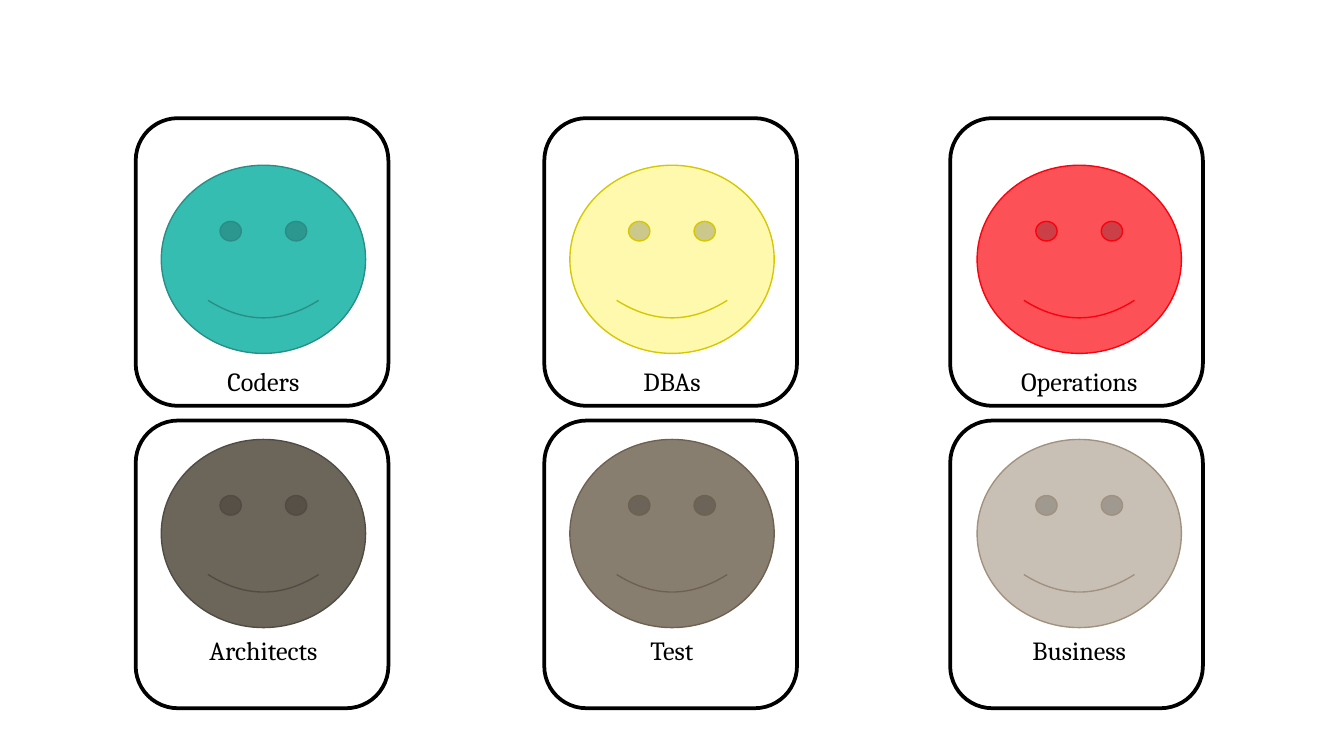
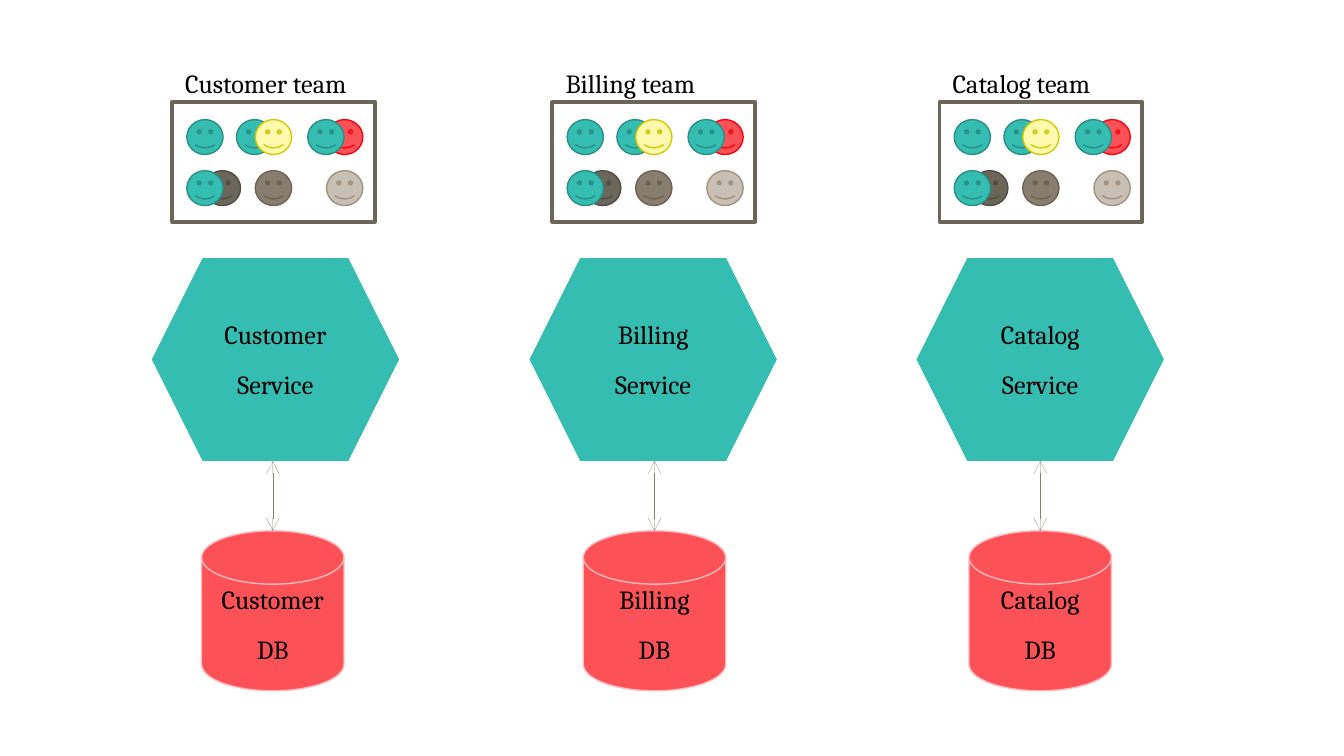
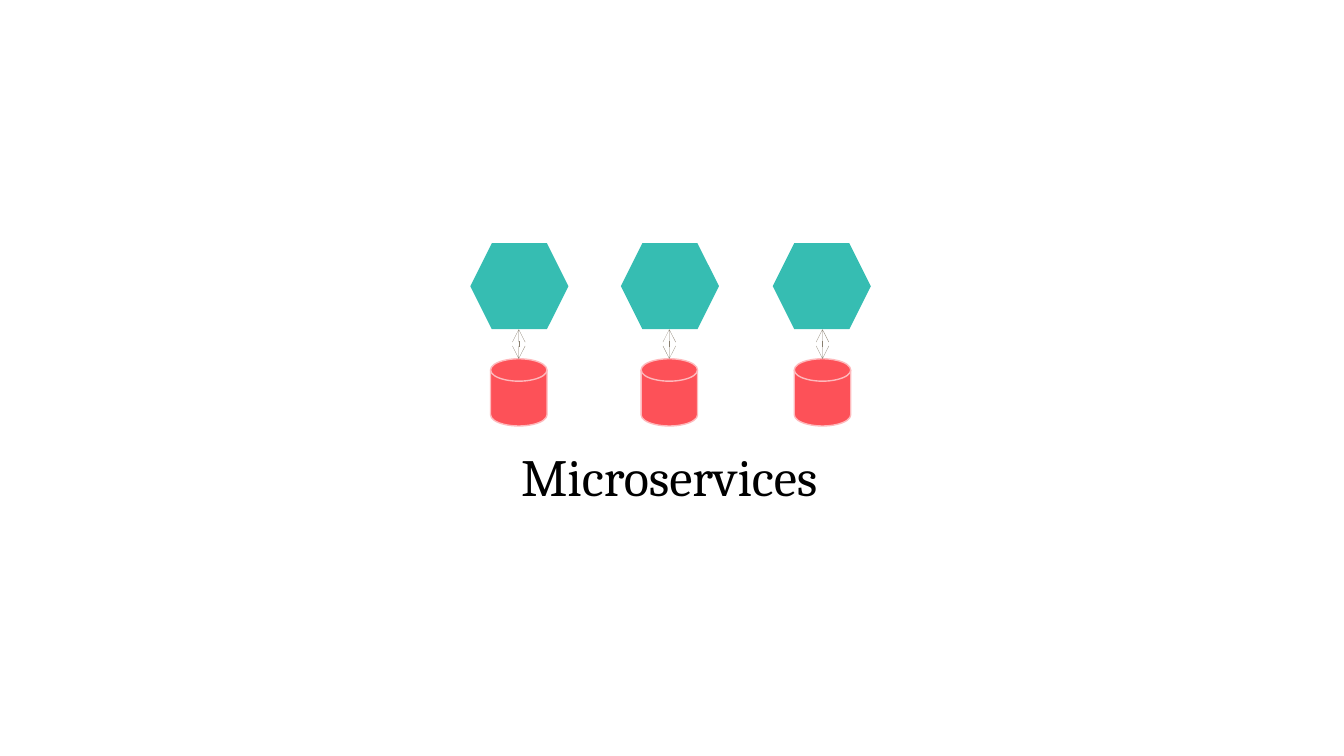
from typing import NamedTuple, Optional, Union

from lxml import etree
from pptx import Presentation
from pptx.dml.color import RGBColor
from pptx.enum.shapes import MSO_CONNECTOR, MSO_SHAPE
from pptx.enum.text import MSO_ANCHOR, MSO_AUTO_SIZE, PP_ALIGN
from pptx.oxml.ns import qn
from pptx.presentation import Presentation as Deck
from pptx.shapes.autoshape import Shape
from pptx.shapes.shapetree import GroupShapes, SlideShapes
from pptx.text.text import TextFrame
from pptx.util import Inches, Pt

CARD = MSO_SHAPE.ROUNDED_RECTANGLE
FRAME = MSO_SHAPE.RECTANGLE
FACE = MSO_SHAPE.SMILEY_FACE
HEXAGON = MSO_SHAPE.HEXAGON
DISK = MSO_SHAPE.FLOWCHART_MAGNETIC_DISK
STRAIGHT = MSO_CONNECTOR.STRAIGHT
LEFT = PP_ALIGN.LEFT
CENTER = PP_ALIGN.CENTER
MIDDLE = MSO_ANCHOR.MIDDLE
GROW = MSO_AUTO_SIZE.SHAPE_TO_FIT_TEXT

PAGE_WIDTH = 10
PAGE_HEIGHT = PAGE_WIDTH * 9 / 16
FONT = "Cambria"
BLACK = "000000"
WHITE = "FFFFFF"
TEAL = "36BDB2"
RED = "FD5158"
PINK = "FEB9BC"
BROWN = "887E6F"
DARK_BROWN = "6C6559"

Shapes = Union[SlideShapes, GroupShapes]


class Area(NamedTuple):
    left: float
    top: float
    width: float
    height: float


class Role(NamedTuple):
    name: str
    fill: str
    line: str


class Member(NamedTuple):
    role: Role
    offset: float
    top: float


class Team(NamedTuple):
    name: str
    frame_left: float
    label_width: float
    service_left: float
    database_left: float


CODER = Role("Coders", TEAL, "288E86")
DBA = Role("DBAs", "FFF9AE", "D6C700")
OPERATOR = Role("Operations", RED, "F8030D")
ARCHITECT = Role("Architects", DARK_BROWN, "514C43")
TESTER = Role("Test", BROWN, "6E6151")
BUSINESS = Role("Business", "C9C0B5", "A1917E")

ROLE_ROWS = ((CODER, DBA, OPERATOR), (ARCHITECT, TESTER, BUSINESS))
CARD_LEFTS = (1.01, 4.05, 7.07)
FACE_LEFTS = (1.2, 4.24, 7.27)
CARD_TOPS = (0.88, 3.13)
FACE_TOPS = (1.23, 3.27)
LABEL_TOPS = (2.67, 4.67)

UPPER, LOWER = 0.89, 1.27
MEMBERS = (
    Member(CODER, 0.48, UPPER),
    Member(DBA, 0.62, UPPER),
    Member(TESTER, 0.62, LOWER),
    Member(BUSINESS, 1.15, LOWER),
    Member(OPERATOR, 1.15, UPPER),
    Member(ARCHITECT, 0.24, LOWER),
    Member(CODER, 1.01, UPPER),
    Member(CODER, 0.11, UPPER),
    Member(CODER, 0.11, LOWER),
)
TEAMS = (
    Team("Customer", 1.28, 1.53, 1.13, 1.5),
    Team("Billing", 4.11, 1.26, 3.94, 4.34),
    Team("Catalog", 6.99, 1.34, 6.82, 7.21),
)
SMALL_SERVICES = ((3.5, 3.65), (4.62, 4.77), (5.75, 5.91))


def color(value: str) -> RGBColor:
    return RGBColor.from_string(value)


def write(frame: TextFrame, lines: tuple[str, ...], align: PP_ALIGN, size: float) -> None:
    for index, line in enumerate(lines):
        para = frame.paragraphs[0] if index == 0 else frame.add_paragraph()
        para.alignment = align
        para.space_after = Pt(4)
        if index:
            para.space_before = Pt(6)
        span = para.add_run()
        span.text = line
        span.font.name = FONT
        span.font.size = Pt(size)
        span.font.color.rgb = color(BLACK)


def add_label(shapes: Shapes, area: Area, text: str, align: PP_ALIGN = CENTER,
              size: float = 14, wrap: bool = True) -> None:
    box = shapes.add_textbox(*map(Inches, area))
    box.text_frame.word_wrap = wrap
    box.text_frame.auto_size = GROW
    write(box.text_frame, (text,), align, size)


def add_figure(shapes: Shapes, kind: MSO_SHAPE, area: Area, fill: str,
               line: Optional[str] = None, weight: float = 0.75) -> Shape:
    figure = shapes.add_shape(kind, *map(Inches, area))
    figure.shadow.inherit = False
    figure.fill.solid()
    figure.fill.fore_color.rgb = color(fill)
    if line is None:
        figure.line.fill.background()
    else:
        figure.line.color.rgb = color(line)
        figure.line.width = Pt(weight)
    return figure


def add_face(shapes: Shapes, role: Role, area: Area) -> None:
    add_figure(shapes, FACE, area, role.fill, role.line)


def add_double_arrow(shapes: Shapes, x: float, top: float, bottom: float) -> None:
    arrow = shapes.add_connector(STRAIGHT, Inches(x), Inches(top), Inches(x), Inches(bottom))
    arrow.line.color.rgb = color(BROWN)
    arrow.line.width = Pt(0.05)
    properties = arrow._element.spPr
    outline = properties.find(qn("a:ln"))
    for end in ("a:headEnd", "a:tailEnd"):
        etree.SubElement(outline, qn(end), type="arrow")
    etree.SubElement(properties, qn("a:effectLst"))


def add_service(shapes: Shapes, service: Area, database: Area, name: str = "") -> None:
    hexagon = add_figure(shapes, HEXAGON, service, TEAL)
    disk = add_figure(shapes, DISK, database, RED, PINK)
    if name:
        for figure, kind in ((hexagon, "Service"), (disk, "DB")):
            figure.text_frame.vertical_anchor = MIDDLE
            write(figure.text_frame, (name, kind), CENTER, 14)
    center = database.left + database.width / 2
    add_double_arrow(shapes, center, service.top + service.height, database.top)


def add_page(deck: Deck) -> SlideShapes:
    return deck.slides.add_slide(deck.slide_layouts[6]).shapes


def build_roles(deck: Deck) -> None:
    shapes = add_page(deck)
    for top in CARD_TOPS:
        for left in CARD_LEFTS:
            add_figure(shapes, CARD, Area(left, top, 1.88, 2.14), WHITE, BLACK, 2)
    for roles, face_top, label_top in zip(ROLE_ROWS, FACE_TOPS, LABEL_TOPS):
        for role, left in zip(roles, FACE_LEFTS):
            add_face(shapes, role, Area(left, face_top, 1.52, 1.4))
            add_label(shapes, Area(left, label_top, 1.52, 0.34), role.name)


def build_teams(deck: Deck) -> None:
    shapes = add_page(deck)
    for team in TEAMS:
        left = team.frame_left
        add_figure(shapes, FRAME, Area(left, 0.76, 1.51, 0.89), WHITE, DARK_BROWN, 2)
        for member in MEMBERS:
            add_face(shapes, member.role, Area(left + member.offset, member.top, 0.27, 0.26))
        add_label(shapes, Area(left, 0.45, team.label_width, 0.34), f"{team.name} team",
                  LEFT, wrap=False)
        add_service(shapes, Area(team.service_left, 1.92, 1.84, 1.51),
                    Area(team.database_left, 3.95, 1.06, 1.19), team.name)


def build_microservices(deck: Deck) -> None:
    shapes = add_page(deck)
    group = shapes.add_group_shape()
    for service_left, database_left in SMALL_SERVICES:
        add_service(group.shapes, Area(service_left, 1.81, 0.73, 0.64),
                    Area(database_left, 2.67, 0.42, 0.5))
    add_label(shapes, Area(3.68, 3.26, 2.6, 0.57), "Microservices", size=28, wrap=False)


def main() -> None:
    deck = Presentation()
    deck.slide_width = Inches(PAGE_WIDTH)
    deck.slide_height = Inches(PAGE_HEIGHT)
    build_roles(deck)
    build_teams(deck)
    build_microservices(deck)
    deck.save("out.pptx")


if __name__ == "__main__":
    main()
